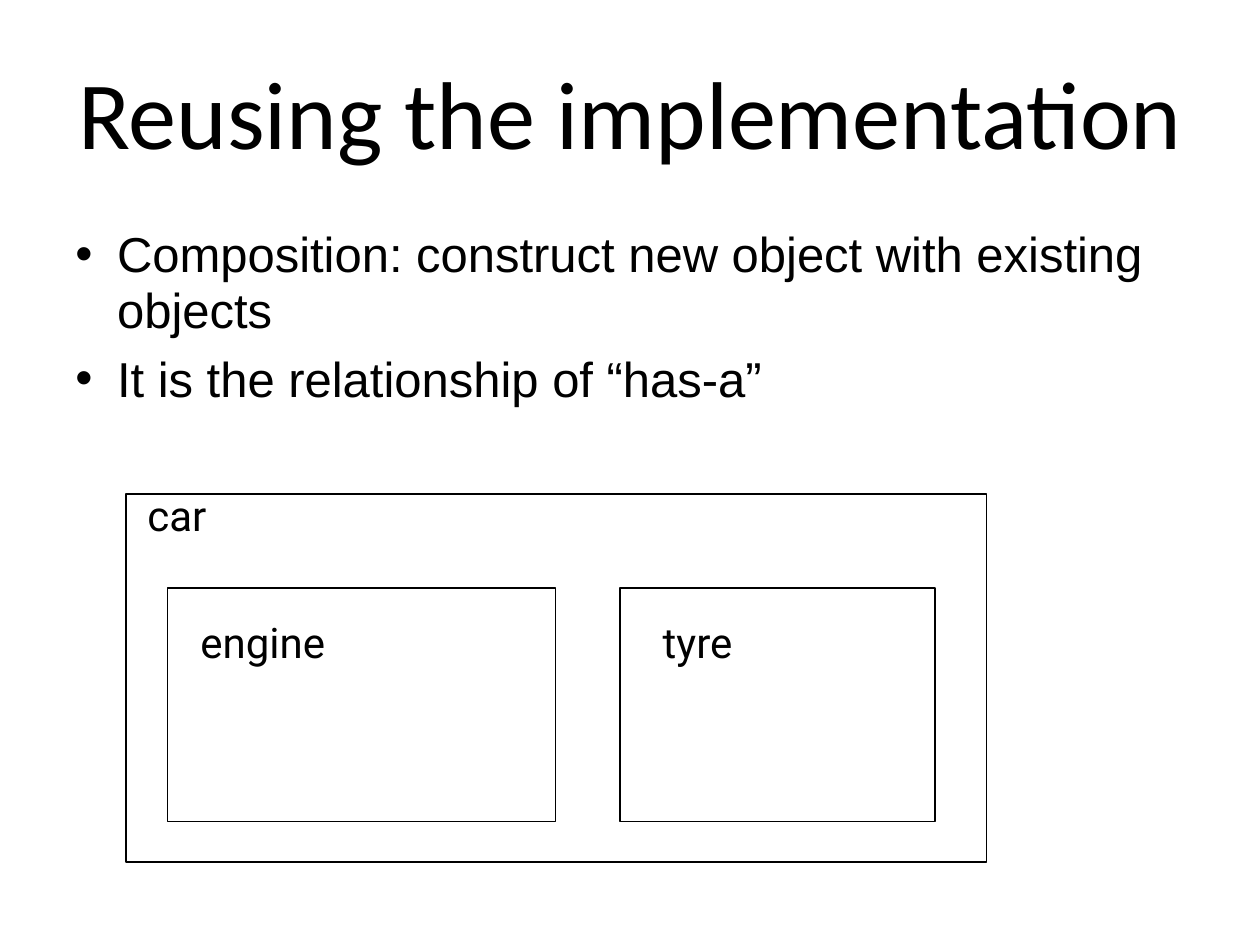
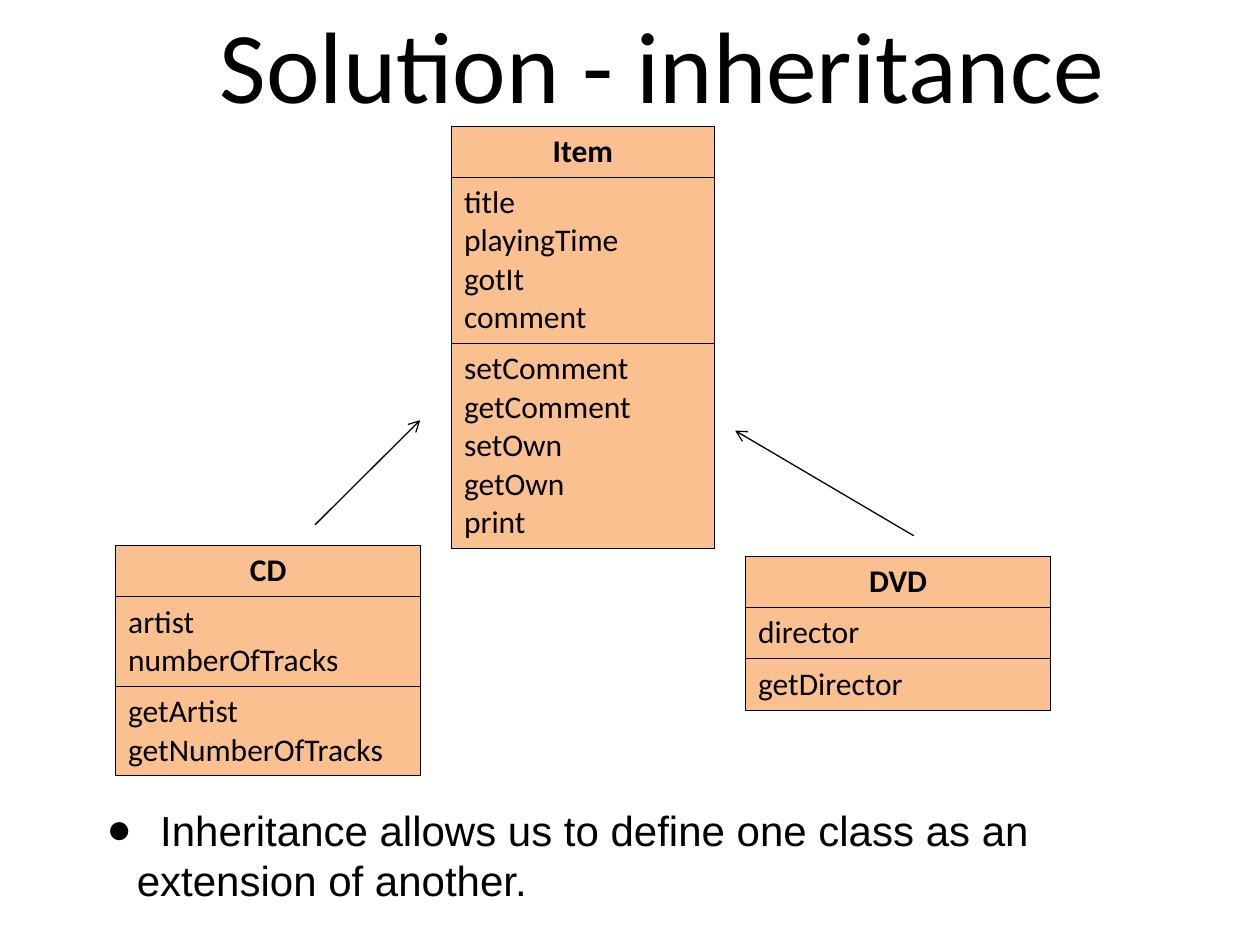
"""Build two slides on reusing classes: composition and inheritance."""
from lxml.etree import SubElement
from pptx import Presentation
from pptx.dml.color import RGBColor
from pptx.enum.shapes import MSO_CONNECTOR, MSO_SHAPE
from pptx.enum.text import MSO_ANCHOR, MSO_AUTO_SIZE, PP_ALIGN
from pptx.oxml.ns import qn
from pptx.util import Cm, Pt

THEME = {
    "ink": RGBColor(0, 0, 0),
    "class_fill": RGBColor(0xFA, 0xC0, 0x90),
    "box_line": Pt(1),
    "arrow_line": Pt(0.75),
    "border": Pt(0.45),
    "composition_title": {"name": "Calibri", "size": Pt(55)},
    "inheritance_title": {"name": "Calibri", "size": Pt(58)},
    "list": {"name": "Arial", "size": Pt(28)},
    "note": {"name": "Arial", "size": Pt(24)},
    "label": {"name": "Roboto", "size": Pt(24)},
    "class_name": {"name": "Calibri", "size": Pt(18), "bold": True},
    "member": {"name": "Calibri", "size": Pt(18), "bold": False},
}


def write(frame, lines, style, alignment=PP_ALIGN.LEFT, margins=None, bullet=None):
    """Fill a text frame with one formatted paragraph per line."""
    if margins:
        frame.word_wrap = True
        frame.auto_size = MSO_AUTO_SIZE.NONE
        frame.vertical_anchor = MSO_ANCHOR.TOP
        for side, margin in zip(("left", "top", "right", "bottom"), margins):
            setattr(frame, f"margin_{side}", Cm(margin))
    for index, line in enumerate(lines):
        paragraph = frame.add_paragraph() if index else frame.paragraphs[0]
        if bullet:
            properties = paragraph._p.get_or_add_pPr()
            properties.set("marL", str(Cm(bullet["margin"])))
            properties.set("indent", str(Cm(bullet["indent"])))
            SubElement(properties, qn("a:buFont"), typeface="Arial")
            SubElement(properties, qn("a:buChar"), char=bullet["char"])
            tabs = SubElement(properties, qn("a:tabLst"))
            for stop in bullet["tabs"]:
                SubElement(tabs, qn("a:tab"), pos=str(Cm(stop)), algn="l")
        paragraph.alignment = alignment
        paragraph.space_before = Pt(5.6 if bullet and index else 0)
        run = paragraph.add_run()
        run.text = line
        for name, value in THEME[style].items():
            setattr(run.font, name, value)
        run.font.color.rgb = THEME["ink"]


def place(shape, left, top, width, height):
    """Move and size a shape, in centimetres."""
    shape.left, shape.top = Cm(left), Cm(top)
    shape.width, shape.height = Cm(width), Cm(height)


presentation = Presentation()
presentation.slide_width, presentation.slide_height = Cm(25.4), Cm(19.05)

pages = [
    {
        "title": "Reusing the implementation",
        "title_style": "composition_title",
        "title_place": (0, 1.07, 25.4, 3),
        "body": ["Composition: construct new object with existing objects",
                 "It is the relationship of “has-a”"],
        "body_style": "list",
        "body_place": (1.47, 4.57, 21.8, 3.63),
        "body_margins": (0, 0, 0, 0),
        "bullet": {"char": "•", "margin": 0.89, "indent": -0.84, "tabs": (0.89,)},
    },
    {
        "title": "Solution - inheritance",
        "title_style": "inheritance_title",
        "title_place": (2.44, 0.04, 21.8, 2.5),
        "body": ["\tInheritance allows us to define one class as an extension of another."],
        "body_style": "note",
        "body_place": (1.9, 16.08, 22.86, 2.29),
        "body_margins": (0.25, 0.13, 0.5, 0.13),
        "bullet": {"char": "●", "margin": 0.61, "indent": -0.61, "tabs": (0.47, 1.08)},
    },
]
for page in pages:
    slide = presentation.slides.add_slide(presentation.slide_layouts[1])
    title, body = slide.placeholders
    place(title, *page["title_place"])
    write(title.text_frame, [page["title"]], page["title_style"], PP_ALIGN.CENTER, (0, 0, 0, 0))
    place(body, *page["body_place"])
    write(body.text_frame, page["body"], page["body_style"],
          margins=page["body_margins"], bullet=page["bullet"])
composition, inheritance = presentation.slides
composition.placeholders[1].text_frame.paragraphs[0].line_spacing = Pt(32)

boxes = [
    ("car", (2.54, 9.96, 17.35, 7.42), (0.43, 0)),
    ("engine", (3.38, 11.86, 7.82, 4.7), (0.66, 0.56)),
    ("tyre", (12.5, 11.86, 6.35, 4.7), (0.86, 0.56)),
]
for label, position, (inset_left, inset_top) in boxes:
    box = composition.shapes.add_shape(MSO_SHAPE.RECTANGLE, 0, 0, 0, 0)
    place(box, *position)
    box.shadow.inherit = False
    box.fill.background()
    box.line.color.rgb = THEME["ink"]
    box.line.width = THEME["box_line"]
    write(box.text_frame, [label], "label", margins=(inset_left, inset_top, 0, 0))
    if label == "car":
        box.text_frame.paragraphs[0].line_spacing = Pt(26.2)

classes = [
    ("Item", (9.1, 2.54, 5.3), (1.02, 3.3, 4.06),
     ["title", "playingTime", "gotIt", "comment"],
     ["setComment", "getComment", "setOwn", "getOwn", "print"]),
    ("CD", (2.33, 11, 6.15), (1.02, 1.78, 1.78),
     ["artist", "numberOfTracks"], ["getArtist", "getNumberOfTracks"]),
    ("DVD", (15.03, 11.22, 6.15), (1.02, 1.02, 1.02),
     ["director"], ["getDirector"]),
]
for class_name, (left, top, width), heights, fields, methods in classes:
    frame = inheritance.shapes.add_table(3, 1, Cm(left), Cm(top), Cm(width), Cm(sum(heights)))
    table = frame.table
    table.first_row = table.horz_banding = False
    for row, height, lines in zip(table.rows, heights, ([class_name], fields, methods)):
        row.height = Cm(height)
        cell = row.cells[0]
        is_name = lines == [class_name]
        write(cell.text_frame, lines, "class_name" if is_name else "member",
              PP_ALIGN.CENTER if is_name else PP_ALIGN.LEFT)
        properties = cell._tc.get_or_add_tcPr()
        for side in ("lnL", "lnR", "lnT", "lnB"):
            border = SubElement(properties, qn(f"a:{side}"), w=str(THEME["border"]))
            color = SubElement(border, qn("a:solidFill"))
            SubElement(color, qn("a:srgbClr"), val=str(THEME["ink"]))
        cell.fill.solid()
        cell.fill.fore_color.rgb = THEME["class_fill"]

for ends in ((6.35, 10.58, 8.47, 8.47), (18.42, 10.8, 14.82, 8.68)):
    arrow = inheritance.shapes.add_connector(MSO_CONNECTOR.STRAIGHT, *map(Cm, ends))
    arrow.line.color.rgb = THEME["ink"]
    arrow.line.width = THEME["arrow_line"]
    SubElement(arrow.line._get_or_add_ln(), qn("a:tailEnd"), type="arrow")
    SubElement(arrow._element.spPr, qn("a:effectLst"))

presentation.save("out.pptx")
